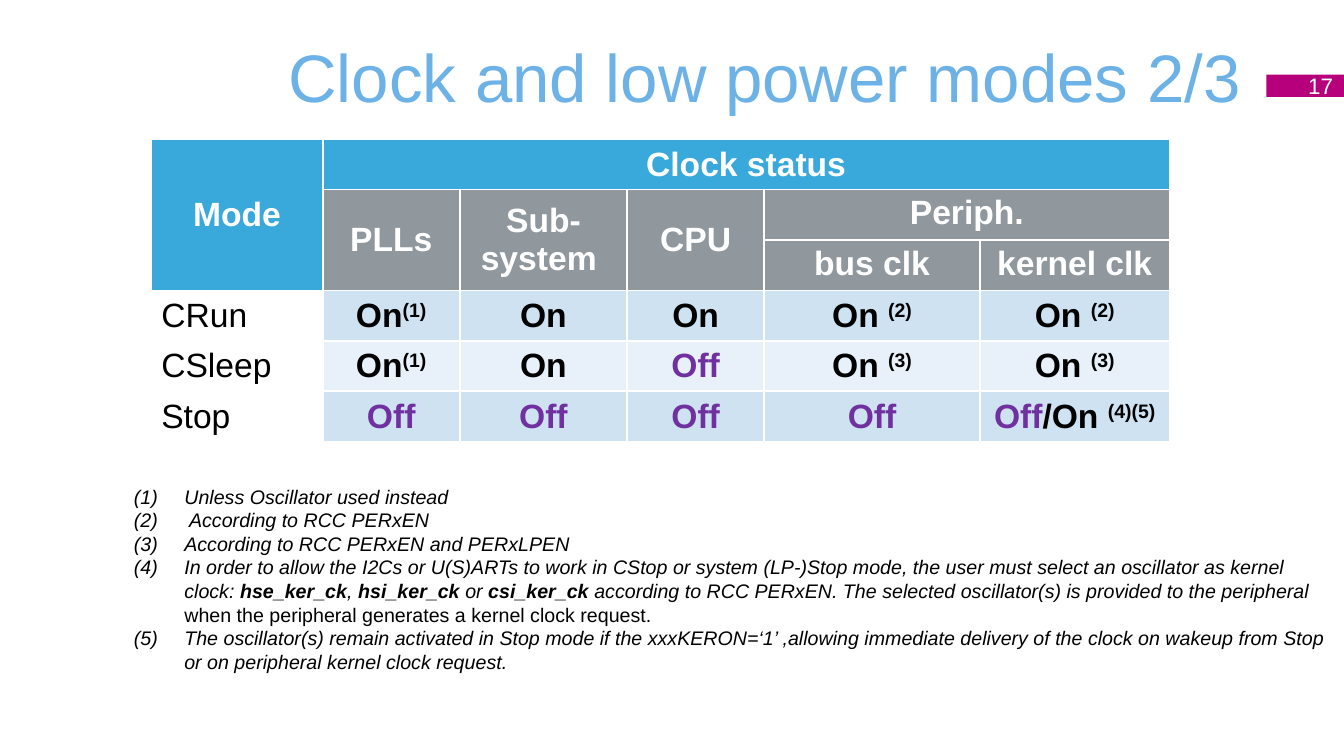
import dataclasses

import lxml.etree
import pptx
import pptx.dml.color
import pptx.enum.shapes
import pptx.enum.text
import pptx.oxml.ns
import pptx.util

PX = 9144  # one px is a hundredth of an inch
ALIGN = pptx.enum.text.PP_ALIGN
MIDDLE = pptx.enum.text.MSO_ANCHOR.MIDDLE
TOP = pptx.enum.text.MSO_ANCHOR.TOP


@dataclasses.dataclass(frozen=True)
class Theme:
    font: str = "Arial"
    title: str = "6CB2E6"
    badge: str = "B7007C"
    head: str = "39A9DC"
    subhead: str = "90989E"
    band_dark: str = "CEE2F2"
    band_light: str = "E8F1F9"
    off: str = "7030A0"
    ink: str = "000000"
    paper: str = "FFFFFF"
    title_size: int = 48
    table_size: int = 24
    badge_size: int = 16
    note_size: int = 14
    border_width: float = 1.5


def px(length):
    return pptx.util.Emu(length * PX)


def rgb(value):
    return pptx.dml.color.RGBColor.from_string(value)


def add_xml(parent, tag, **attributes):
    return lxml.etree.SubElement(parent, pptx.oxml.ns.qn(tag), attributes)


class SlideBuilder:
    def __init__(self, page, theme):
        self.page = page
        self.theme = theme

    def style(self, para, size, color, align=ALIGN.LEFT, bold=False, italic=False):
        para.alignment = align
        font = para.font
        font.name, font.size = self.theme.font, pptx.util.Pt(size)
        font.bold, font.italic = bold, italic
        font.color.rgb = rgb(color)

    def span(self, para, text):
        span = para.add_run()
        span.text = text
        return span

    def frame(self, shape, anchor=MIDDLE, wrap=True, inset=(13, 7)):
        frame = shape.text_frame
        frame.word_wrap = wrap
        frame.vertical_anchor = anchor
        frame.margin_left = frame.margin_right = px(inset[0])
        frame.margin_top = frame.margin_bottom = px(inset[1])
        return frame

    def title(self, text, *place):
        box = self.page.shapes.add_textbox(*map(px, place))
        para = self.frame(box).paragraphs[0]
        self.style(para, self.theme.title_size, self.theme.title, ALIGN.RIGHT)
        self.span(para, text)

    def badge(self, text, *place):
        box = self.page.shapes.add_shape(
            pptx.enum.shapes.MSO_SHAPE.RECTANGLE, *map(px, place))
        box.shadow.inherit = False
        box.fill.solid()
        box.fill.fore_color.rgb = rgb(self.theme.badge)
        box.line.fill.background()
        para = self.frame(box, wrap=False).paragraphs[0]
        self.style(para, self.theme.badge_size, self.theme.paper, ALIGN.RIGHT)
        self.span(para, text)

    def table(self, left, top, widths, row_height, row_count):
        size = (sum(widths), row_height * row_count)
        table = self.page.shapes.add_table(
            row_count, len(widths), *map(px, (left, top, *size))).table
        table.first_row = table.horz_banding = False
        for column, width in zip(table.columns, widths):
            column.width = px(width)
        for row in table.rows:
            row.height = px(row_height)
        return table

    def cell(self, cell, spans, fill, color, align=ALIGN.CENTER, bold=True, anchor=MIDDLE):
        properties = cell._tc.get_or_add_tcPr()
        width = str(pptx.util.Pt(self.theme.border_width))
        for side in ("a:lnL", "a:lnR", "a:lnT", "a:lnB"):
            line = add_xml(properties, side, w=width)
            add_xml(add_xml(line, "a:solidFill"), "a:srgbClr", val=self.theme.paper)
        cell.fill.solid()
        cell.fill.fore_color.rgb = rgb(fill)
        cell.vertical_anchor = anchor
        para = cell.text_frame.paragraphs[0]
        self.style(para, self.theme.table_size, color, align, bold)
        for text in spans:
            span = self.span(para, text)
            if text == "Off":
                span.font.color.rgb = rgb(self.theme.off)
            elif text.startswith("("):  # footnote mark
                span.font._element.set("baseline", "30000")

    def notes(self, notes, *place):
        box = self.page.shapes.add_textbox(*map(px, place))
        frame = self.frame(box, TOP, inset=(10, 5))
        for index, spans in enumerate(notes):
            para = frame.add_paragraph() if index else frame.paragraphs[0]
            properties = para._p.get_or_add_pPr()
            properties.set("marL", str(px(50)))
            properties.set("indent", str(px(-50)))
            add_xml(properties, "a:buFont", typeface=self.theme.font)
            add_xml(properties, "a:buAutoNum", type="arabicParenBoth")
            self.style(para, self.theme.note_size, self.theme.ink, italic=True)
            for text, kind in spans:
                span = self.span(para, text)
                if kind == "bold":
                    span.font.bold = True
                elif kind == "upright":
                    span.font.italic = False


# Headings: row, column, last row, last column, text
HEADINGS = [
    (0, 0, 2, 0, "Mode"),
    (0, 1, 0, 5, "Clock status"),
    (1, 1, 2, 1, "PLLs"),
    (1, 2, 2, 2, "Sub-system "),
    (1, 3, 2, 3, "CPU"),
    (1, 4, 1, 5, "Periph."),
    (2, 4, 2, 4, "bus clk"),
    (2, 5, 2, 5, "kernel clk"),
]
HEADING_ROWS = 3
MODES = [
    [["CRun"], ["On", "(1)"], ["On"], ["On"], ["On ", "(2)"], ["On ", "(2)"]],
    [["CSleep"], ["On", "(1)"], ["On"], ["Off"], ["On ", "(3)"], ["On ", "(3)"]],
    [["Stop"], ["Off"], ["Off"], ["Off"], ["Off"], ["Off", "/On ", "(4)(5)"]],
]
NOTES = [
    [("Unless Oscillator used instead", "")],
    [(" According to RCC PERxEN", "")],
    [("According to RCC PERxEN and PERxLPEN", "")],
    [("In order to allow the I2Cs or U(S)ARTs to work in CStop or system (LP-)Stop mode, "
      "the user must select an oscillator as kernel clock: ", ""),
     ("hse_ker_ck", "bold"), (", ", ""), ("hsi_ker_ck ", "bold"), ("or ", ""),
     ("csi_ker_ck ", "bold"),
     ("according to RCC PERxEN. The selected oscillator(s) is provided to the peripheral ", ""),
     ("when the peripheral generates a kernel clock request.", "upright")],
    [("The oscillator(s) remain activated in Stop mode if the xxxKERON=‘1’ ,allowing immediate "
      "delivery of the clock on wakeup from Stop or on peripheral kernel clock request.", "")],
]


def main():
    theme = Theme()
    deck = pptx.Presentation()
    deck.slide_width, deck.slide_height = px(1333), px(750)
    builder = SlideBuilder(deck.slides.add_slide(deck.slide_layouts[6]), theme)

    # Title and page number
    builder.title("Clock and low power modes 2/3", 67, 13, 1177, 125)
    builder.badge("17", 1256, 74, 79, 22)

    # Clock table: headings, then one row per mode
    table = builder.table(150, 138, [170, 136, 166, 136, 214, 188], 47,
                          HEADING_ROWS + len(MODES))
    for row, column, last_row, last_column, text in HEADINGS:
        cell = table.cell(row, column)
        if (row, column) != (last_row, last_column):
            cell.merge(table.cell(last_row, last_column))
        builder.cell(cell, [text], theme.subhead if row else theme.head, theme.paper,
                     anchor=TOP if row and column >= 4 else MIDDLE)
    for index, mode in enumerate(MODES):
        band = theme.band_light if index % 2 else theme.band_dark
        for column, spans in enumerate(mode):
            builder.cell(table.cell(HEADING_ROWS + index, column), spans,
                         band if column else theme.paper, theme.ink,
                         ALIGN.CENTER if column else ALIGN.LEFT, bold=column > 0)

    # Footnotes
    builder.notes(NOTES, 123, 476, 1212, 199)

    deck.save("out.pptx")


if __name__ == "__main__":
    main()
